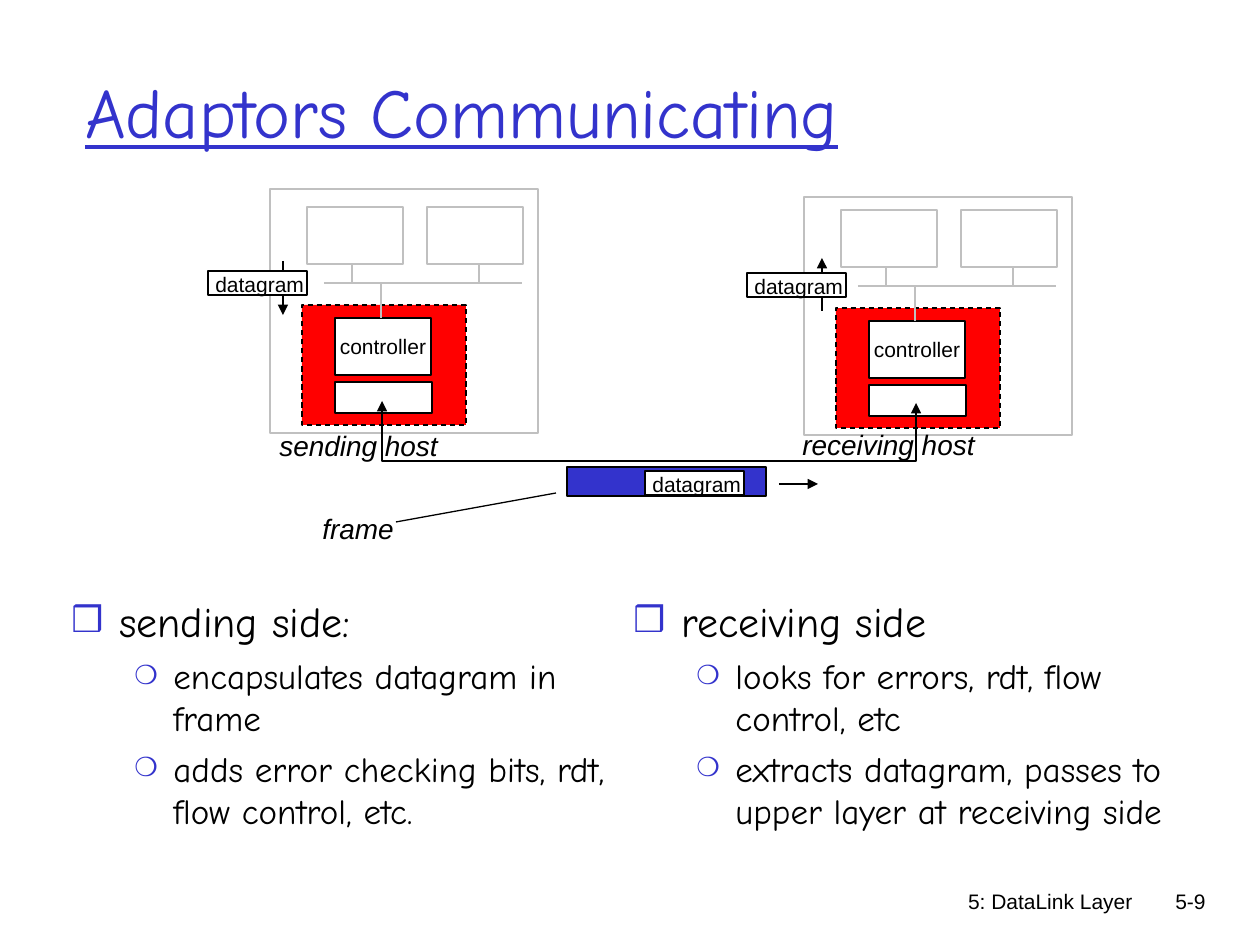
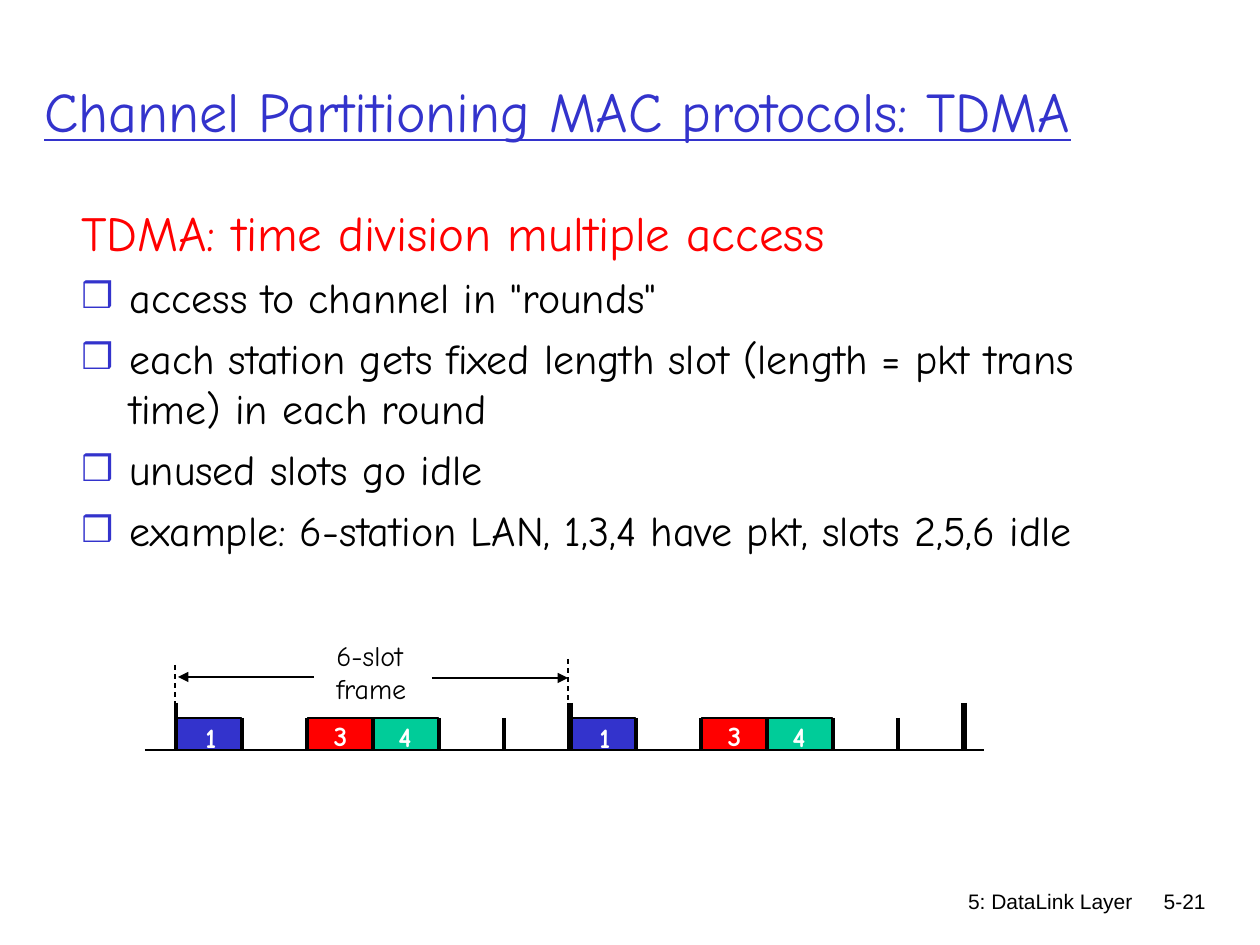
from lxml import etree
from pptx import Presentation
from pptx import util as u
from pptx.dml.color import RGBColor
from pptx.enum import dml, shapes, text
from pptx.oxml import ns

PX = 914400 / 126  # EMU in one px
SLIDE_SIZE = (1260, 945)
BLACK, WHITE, GREY = "000000", "FFFFFF", "C0C0C0"
BLUE, RED, GREEN = "3333CC", "FF0000", "00CC99"
HAND, SANS = "Comic Neue", "Arial"

# Font values of each text style
STYLES = {
    "title": dict(name=HAND, size=40, color=BLUE, underline=True),
    "long title": dict(name=HAND, size=32, color=BLUE, underline=True),
    "small": dict(name=SANS, size=12, color=BLACK),
    "caption": dict(name=SANS, size=16, color=BLACK, italic=True),
    "station": dict(name=HAND, size=16, color=WHITE, bold=True),
    "slot note": dict(name=HAND, size=16, color=BLACK),
    "heading": dict(name=HAND, size=28, color=RED),
    "point": dict(name=HAND, size=24, color=BLACK),
    "subpoint": dict(name=HAND, size=20, color=BLACK),
}
# Level, left margin, hanging indent, space before, bullet, bullet size in percent
OUTLINE = {
    "heading": (0, 48, 48, 7, None, None),
    "point": (0, 48, 48, 6, "❒", 85),
    "subpoint": (1, 102, 39, 5, "❍", 75),
}

FOOTER = "5: DataLink Layer"
FOOTER_BOX, NUMBER_BOX = (746, 882, 399, 63), (1125, 882, 93, 63)

# Slide 1: adaptors
SENDING_POINTS = [
    ("point", "sending side:"),
    ("subpoint", "encapsulates datagram in frame"),
    ("subpoint", "adds error checking bits, rdt, flow control, etc."),
]
RECEIVING_POINTS = [
    ("point", "receiving side"),
    ("subpoint", "looks for errors, rdt, flow control, etc"),
    ("subpoint", "extracts datagram, passes to upper layer at receiving side"),
]
# Outline box, then the shift of everything inside it
HOSTS = [((270, 189, 268, 244), (0, 0)), ((804, 197, 268, 238), (534, 3))]
ADAPTOR = (302, 305, 164, 120)
ADAPTOR_PORT = (335, 382, 97, 31)
CONTROLLER = (335, 318, 96, 57)
HOST_UNITS = [(307, 207, 96, 57), (427, 207, 96, 57)]
BUS_LINES = [(324, 283, 522, 283), (381, 318, 381, 284),
             (352, 283, 352, 265), (479, 283, 479, 265)]
CAPTIONS = [
    ("sending host", (267, 422, 200, 47)),
    ("receiving host", (790, 421, 214, 47)),
    ("frame", (310, 505, 110, 47)),
]
FRAME = (567, 467, 199, 29)
DATAGRAM_SIZE = (99, 24)
CABLE = [(382, 401), (382, 461), (916, 461), (916, 403)]

# Slide 2: TDMA
TDMA_POINTS = [
    ("heading", "TDMA: time division multiple access"),
    ("point", 'access to channel in "rounds"'),
    ("point", "each station gets fixed length slot (length = pkt trans time) in each round"),
    ("point", "unused slots go idle"),
    ("point", "example: 6-station LAN, 1,3,4 have pkt, slots 2,5,6 idle"),
]
SLOTS_PER_FRAME, FRAME_COUNT = 6, 2
AXIS_START, AXIS_END, AXIS_Y = 145, 984, 750
FIRST_TICK, LAST_TICK = 176, 964
SLOT_HEIGHT, FRAME_TICK_HEIGHT = 32, 47
# Station, fill, offset of its number
BUSY_STATIONS = [(1, BLUE, 17, -4), (3, RED, 14, -6), (4, GREEN, 13, -5)]
STATION_LABEL_SIZE = (48, 47)


def emu(*lengths):
    return [u.Emu(round(length * PX)) for length in lengths]


def rgb(hex_color):
    return RGBColor.from_string(hex_color)


def sub_element(parent, tag, **attributes):
    return etree.SubElement(parent, ns.qn(tag), attributes)


def style_line(line, color=BLACK, width=0.75, dashed=False, head=False, tail=False):
    """Head is the arrow at the start of the line, tail the one at its end."""
    line.color.rgb = rgb(color)
    line.width = u.Pt(width)
    if dashed:
        line.dash_style = dml.MSO_LINE.DASH
    for wanted, tag in ((head, "a:headEnd"), (tail, "a:tailEnd")):
        if wanted:
            sub_element(line._ln, tag, type="triangle")


def add_line(slide, ends, **line_format):
    connector = slide.shapes.add_connector(shapes.MSO_CONNECTOR.STRAIGHT, *emu(*ends))
    style_line(connector.line, **line_format)
    sub_element(connector._element.spPr, "a:effectLst")


def add_box(slide, box, fill=WHITE, **line_format):
    shape = slide.shapes.add_shape(shapes.MSO_SHAPE.RECTANGLE, *emu(*box))
    shape.shadow.inherit = False
    shape.fill.solid()
    shape.fill.fore_color.rgb = rgb(fill)
    style_line(shape.line, **line_format)
    return shape


def add_polyline(slide, points, **line_format):
    builder = slide.shapes.build_freeform(*points[0], scale=PX)
    builder.add_line_segments(points[1:], close=False)
    shape = builder.convert_to_shape()
    shape.shadow.inherit = False
    shape.fill.background()
    style_line(shape.line, **line_format)


def set_outline(paragraph, style, first):
    level, margin, hanging, space, bullet, percent = OUTLINE[style]
    paragraph.level = level
    paragraph.space_before = u.Pt(0 if first else space)
    properties = paragraph._p.get_or_add_pPr()
    margin, indent = emu(margin, -hanging)
    properties.set("marL", str(margin))
    properties.set("indent", str(indent))
    if bullet:
        color = sub_element(properties, "a:buClr")
        sub_element(color, "a:srgbClr", val=BLUE)
        sub_element(properties, "a:buSzPct", val=str(percent * 1000))
        sub_element(properties, "a:buFont", typeface=SANS)
        sub_element(properties, "a:buChar", char=bullet)
    else:
        sub_element(properties, "a:buNone")


def fill_frame(frame, lines, align=text.PP_ALIGN.LEFT):
    """Write (style, words) pairs as paragraphs."""
    for index, (style, words) in enumerate(lines):
        paragraph = frame.add_paragraph() if index else frame.paragraphs[0]
        paragraph.alignment = align
        if style in OUTLINE:
            set_outline(paragraph, style, index == 0)
        run = paragraph.add_run()
        run.text = words
        for key, value in STYLES[style].items():
            if key == "color":
                run.font.color.rgb = rgb(value)
            else:
                setattr(run.font, key, u.Pt(value) if key == "size" else value)


def add_text(slide, box, lines, anchor=text.MSO_ANCHOR.TOP, **paragraph_format):
    frame = slide.shapes.add_textbox(*emu(*box)).text_frame
    frame.word_wrap = True
    frame.vertical_anchor = anchor
    fill_frame(frame, lines, **paragraph_format)


def add_slide(presentation, number, title, title_box, title_style):
    slide = presentation.slides.add_slide(presentation.slide_layouts[6])
    for box, words in ((FOOTER_BOX, FOOTER), (NUMBER_BOX, number)):
        add_text(slide, box, [("small", words)], align=text.PP_ALIGN.RIGHT)
    add_text(slide, title_box, [(title_style, title)], anchor=text.MSO_ANCHOR.MIDDLE)
    return slide


def add_host(slide, outline, shift):
    dx, dy = shift

    def inside(box):
        left, top, *size = box
        return (left + dx, top + dy, *size)

    add_box(slide, outline, color=GREY)
    add_box(slide, inside(ADAPTOR), RED, dashed=True)
    add_box(slide, inside(ADAPTOR_PORT))
    frame = add_box(slide, inside(CONTROLLER)).text_frame
    frame.word_wrap = False
    frame.vertical_anchor = text.MSO_ANCHOR.MIDDLE
    fill_frame(frame, [("small", "controller")], text.PP_ALIGN.CENTER)
    for x1, y1, x2, y2 in BUS_LINES:
        add_line(slide, (x1 + dx, y1 + dy, x2 + dx, y2 + dy), color=GREY)
    for unit in HOST_UNITS:
        add_box(slide, inside(unit), color=GREY)


def add_datagram(slide, left, top):
    add_box(slide, (left, top, *DATAGRAM_SIZE))
    add_text(slide, (left - 5, top - 6, 126, 38), [("small", "datagram")])


def build_adaptors(presentation):
    slide = add_slide(presentation, "5-9", "Adaptors Communicating",
                      (73, 32, 1071, 157), "title")
    add_text(slide, (59, 589, 561, 267), SENDING_POINTS)
    add_text(slide, (621, 589, 563, 255), RECEIVING_POINTS)
    add_box(slide, FRAME, BLUE)
    for outline, shift in HOSTS:
        add_host(slide, outline, shift)
    for words, box in CAPTIONS:
        add_text(slide, box, [("caption", words)])
    add_line(slide, (283, 261, 283, 315), tail=True)
    add_datagram(slide, 208, 271)
    add_line(slide, (822, 258, 822, 311), head=True)
    add_datagram(slide, 747, 273)
    add_polyline(slide, CABLE, head=True, tail=True)
    add_datagram(slide, 645, 471)
    add_line(slide, (779, 484, 818, 484), tail=True)
    add_line(slide, (396, 522, 556, 493))


def build_tdma(presentation):
    slide = add_slide(presentation, "5-21", "Channel Partitioning MAC protocols: TDMA",
                      (32, 32, 1189, 157), "long title")
    add_text(slide, (69, 196, 1071, 403), TDMA_POINTS)

    slot_count = SLOTS_PER_FRAME * FRAME_COUNT
    slot_width = (LAST_TICK - FIRST_TICK) / slot_count
    slot_top = AXIS_Y - SLOT_HEIGHT
    add_line(slide, (AXIS_START, AXIS_Y, AXIS_END, AXIS_Y))
    for frame_index in range(FRAME_COUNT):
        for station, fill, dx, dy in BUSY_STATIONS:
            slot = frame_index * SLOTS_PER_FRAME + station - 1
            left = FIRST_TICK + slot * slot_width
            add_box(slide, (left, slot_top, slot_width, SLOT_HEIGHT), fill)
            add_text(slide, (left + dx, slot_top + dy, *STATION_LABEL_SIZE),
                     [("station", str(station))])
    for tick in range(slot_count + 1):
        x = FIRST_TICK + tick * slot_width
        starts_frame = tick % SLOTS_PER_FRAME == 0
        height = FRAME_TICK_HEIGHT if starts_frame else SLOT_HEIGHT
        add_line(slide, (x, AXIS_Y - height, x, AXIS_Y),
                 width=3 if starts_frame and tick else 2.25)

    add_text(slide, (324, 632, 110, 81), [("slot note", "6-slot"), ("slot note", "frame")])
    add_line(slide, (432, 678, 568, 678), tail=True)
    add_line(slide, (314, 677, 178, 677), tail=True)
    for x, top in ((175, 665), (568, 659)):
        add_line(slide, (x, top, x, top + 42), dashed=True)


def main():
    presentation = Presentation()
    presentation.slide_width, presentation.slide_height = emu(*SLIDE_SIZE)
    build_adaptors(presentation)
    build_tdma(presentation)
    presentation.save("out.pptx")


if __name__ == "__main__":
    main()
